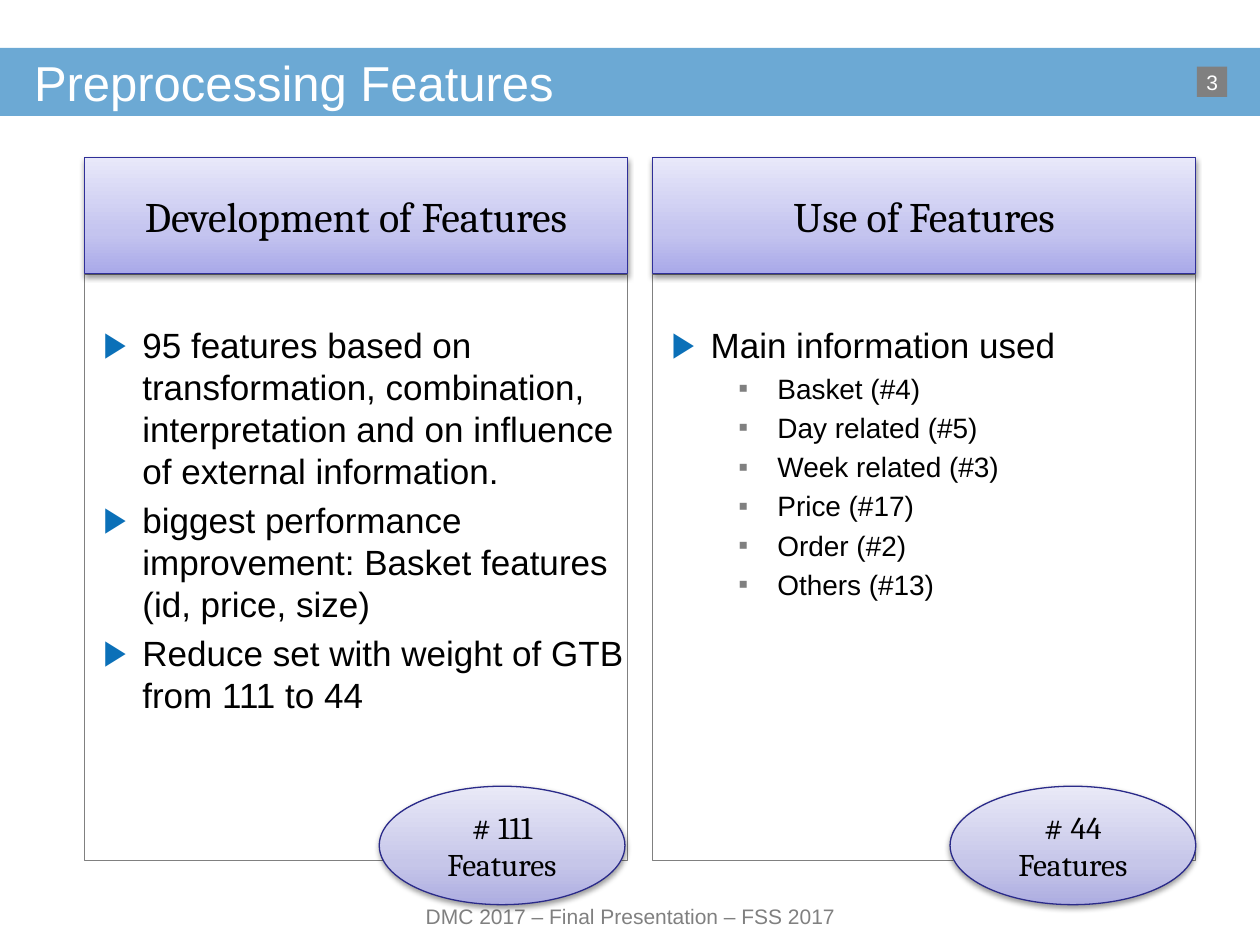
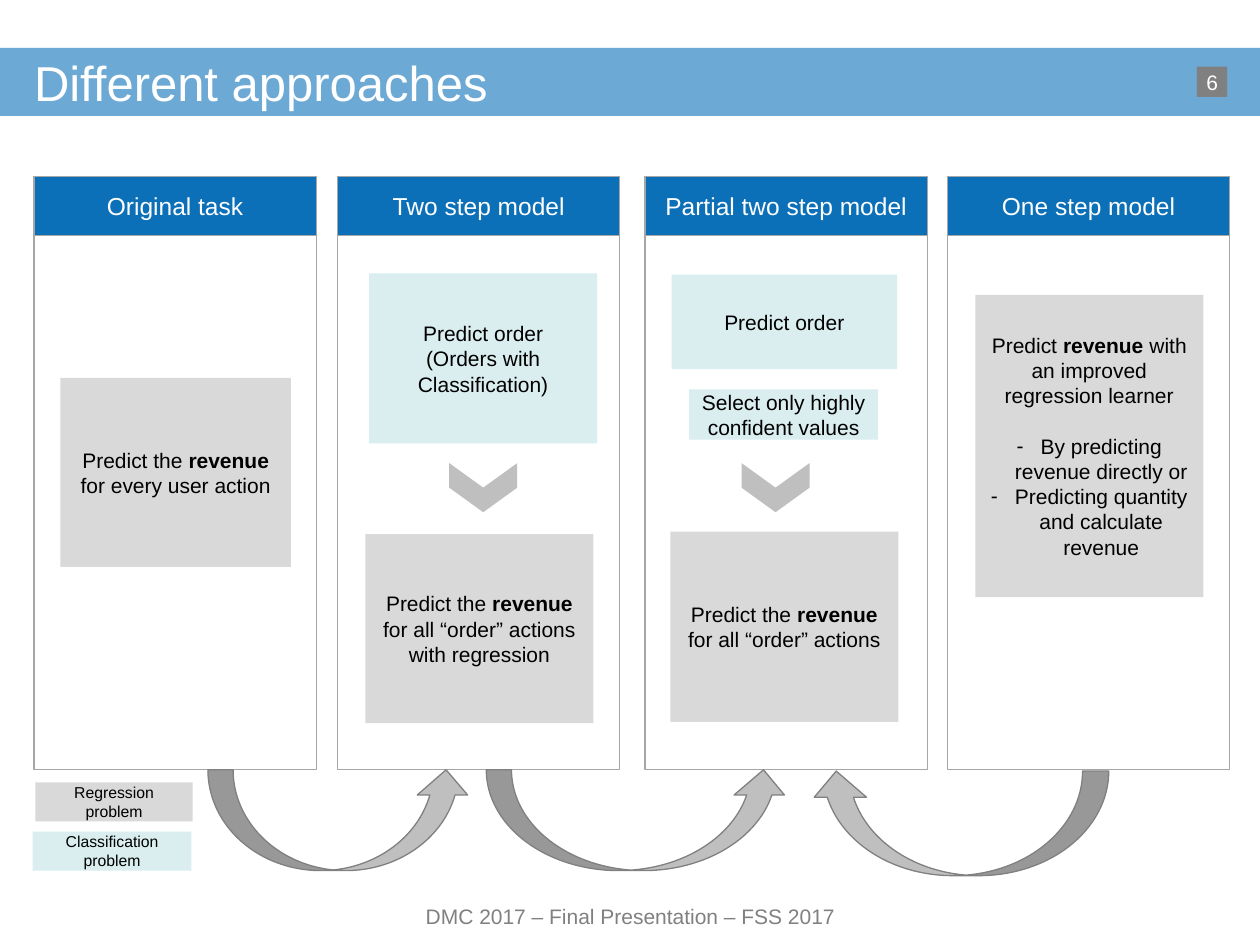
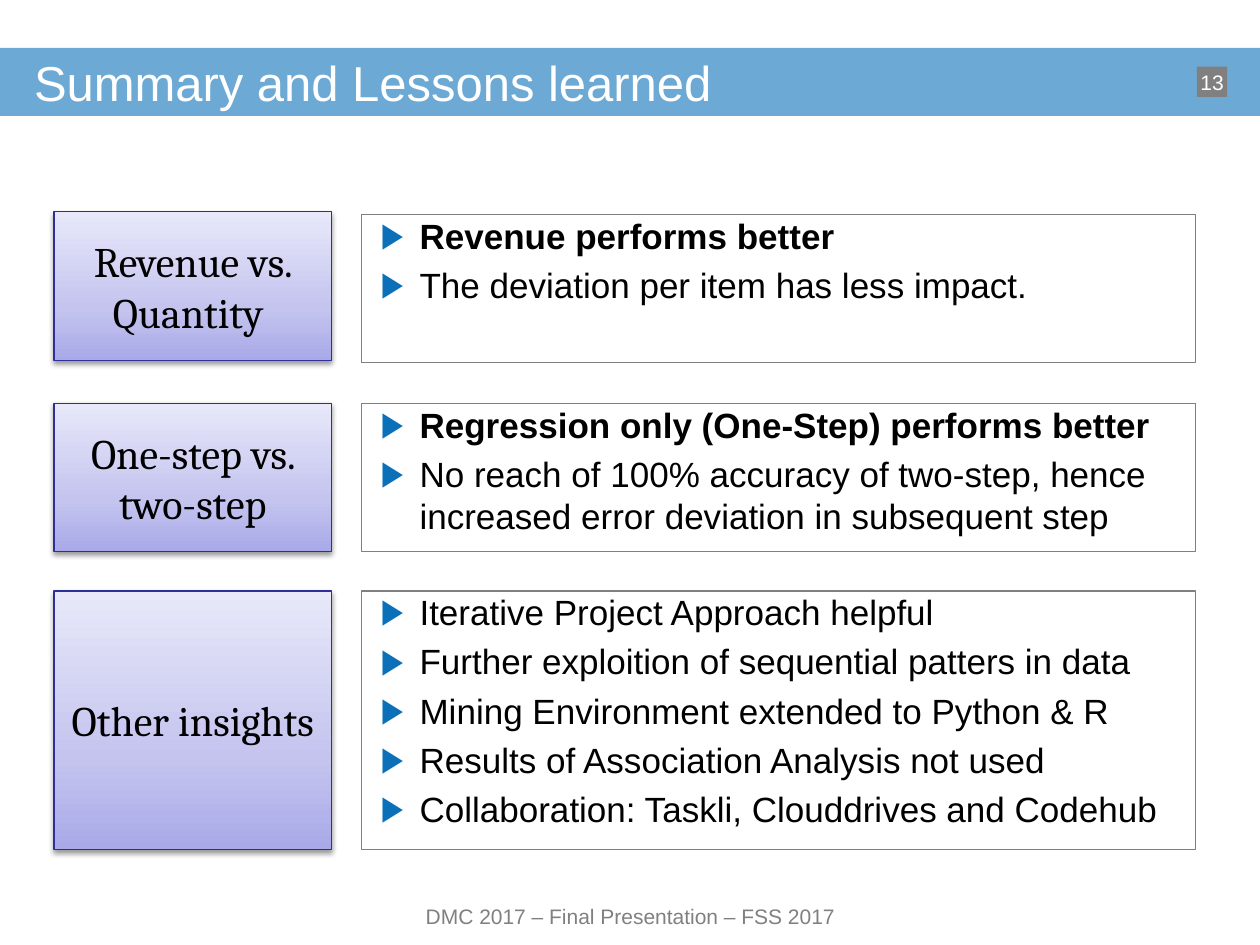
import lxml.etree
import pptx
import pptx.dml.color
import pptx.enum.shapes
import pptx.enum.text
import pptx.oxml
import pptx.oxml.ns
import pptx.util

Inches = pptx.util.Inches
Pt = pptx.util.Pt
qn = pptx.oxml.ns.qn
colour = pptx.dml.color.RGBColor.from_string
SHAPE = pptx.enum.shapes.MSO_SHAPE
ALIGN = pptx.enum.text.PP_ALIGN
ANCHOR = pptx.enum.text.MSO_ANCHOR

BLUE, GREY, WHITE, BLACK = "0B70B8", "808080", "FFFFFF", "000000"
FRAME, ARROW = "A6A6A6", "BFBFBF"
REGRESSION, CLASSIFICATION = "D9D9D9", "DAEDEF"
LILAC = [(0, "A9A9E9"), (35, "C4C4EF"), (100, "E8E8FA")]
PALE_LILAC = [(0, "ADADE1"), (35, "C6C6E9"), (100, "E9E9F7")]
LILAC_LINE, PALE_LILAC_LINE = "2F2F98", "2A2A89"

# mark: level, left indent, hanging indent, mark colour, text size, space before
BULLETS = {
    "▶": (0, 0.46, 0.31, BLUE, 20, 4),
    "▪": (1, 0.99, 0.31, GREY, 16, 3.2),
    "-": (0, 0.19, 0.19, BLACK, 12, 0),
}


def place(shape, position, fill=None, line=None):
    """Position and paint a shape; a list of gradient stops also brings a soft shadow."""
    shape.left, shape.top, shape.width, shape.height = map(Inches, position)
    shape.shadow.inherit = False
    shape.fill.background()
    properties = shape.element.spPr
    if isinstance(fill, list):
        stops = "".join(f'<a:gs pos="{at * 1000}"><a:srgbClr val="{value}"/></a:gs>' for at, value in fill)
        gradient = pptx.oxml.parse_xml(
            f'<a:gradFill {pptx.oxml.ns.nsdecls("a")} rotWithShape="1"><a:gsLst>{stops}</a:gsLst>'
            '<a:lin ang="16200000" scaled="0"/></a:gradFill>')
        properties.replace(properties.find(qn("a:noFill")), gradient)
        shadow = lxml.etree.SubElement(
            properties.find(qn("a:effectLst")), qn("a:outerShdw"),
            blurRad="40000", dist="20000", dir="5400000", rotWithShape="0")
        shadow_colour = lxml.etree.SubElement(shadow, qn("a:srgbClr"), val=BLACK)
        lxml.etree.SubElement(shadow_colour, qn("a:alpha"), val="38000")
    elif fill:
        shape.fill.solid()
        shape.fill.fore_color.rgb = colour(fill)
    if line:
        shape.line.color.rgb = colour(line)
        shape.line.width = Pt(0.75)
    else:
        shape.line.fill.background()
    return shape


def write(shape, texts, size=12, text_colour=BLACK, font="Arial",
          align=ALIGN.CENTER, anchor=ANCHOR.MIDDLE, margin=None):
    """Write one paragraph per text; **words** are bold, a leading mark makes a bullet."""
    frame = shape.text_frame
    frame.word_wrap = True
    frame.auto_size = pptx.enum.text.MSO_AUTO_SIZE.NONE
    frame.vertical_anchor = anchor
    if margin is not None:
        frame.margin_left = frame.margin_top = frame.margin_right = frame.margin_bottom = margin
    for index, text in enumerate(texts):
        paragraph = frame.add_paragraph() if index else frame.paragraphs[0]
        paragraph.alignment = align
        run_size = size
        mark, _, words = text.partition(" ")
        if mark in BULLETS:
            text = words
            level, left, hanging, mark_colour, run_size, space = BULLETS[mark]
            paragraph.level = level
            paragraph.space_before = Pt(space)
            properties = paragraph._p.get_or_add_pPr()
            properties.set("marL", str(Inches(left)))
            properties.set("indent", str(-Inches(hanging)))
            bullet_colour = lxml.etree.SubElement(properties, qn("a:buClr"))
            lxml.etree.SubElement(bullet_colour, qn("a:srgbClr"), val=mark_colour)
            lxml.etree.SubElement(properties, qn("a:buFont"), typeface="Arial")
            lxml.etree.SubElement(properties, qn("a:buChar"), char=mark)
        for part, words in enumerate(text.split("**")):
            if words:
                run = paragraph.add_run()
                run.text = words
                run.font.name = font
                run.font.size = Pt(run_size)
                run.font.bold = part % 2 == 1
                run.font.color.rgb = colour(text_colour)


presentation = pptx.Presentation()
presentation.slide_width = Inches(10)
presentation.slide_height = Inches(7.5)

# Shared title, footer and page number; layouts: two content, title only, comparison
slides = []
for layout, title, number in [(3, "Preprocessing Features", "3"),
                              (5, "Different approaches", "6"),
                              (4, "Summary and Lessons learned", "13")]:
    slide = presentation.slides.add_slide(presentation.slide_layouts[layout])
    slides.append(slide)
    write(place(slide.shapes.title, (0.27, 0.38, 9.45, 0.54)), [title], 28, WHITE,
          align=ALIGN.LEFT, margin=0)
    footer = place(slide.shapes.add_shape(SHAPE.RECTANGLE, 0, 0, 0, 0), (2.64, 7.13, 4.73, 0.28))
    write(footer, ["DMC 2017 – Final Presentation – FSS 2017"], 12, GREY, margin=0)
    page = place(slide.shapes.add_shape(SHAPE.RECTANGLE, 0, 0, 0, 0), (9.5, 0.53, 0.24, 0.24), GREY)
    write(page, [number], 12, WHITE, margin=0)
    page.text_frame.word_wrap = False
features, approaches, summary = slides

# The title band belongs to the master, behind everything else
band = place(features.shapes.add_shape(SHAPE.RECTANGLE, 0, 0, 0, 0), (0, 0.38, 10, 0.54), BLUE)
lxml.etree.SubElement(band.element.spPr.find(".//" + qn("a:srgbClr")), qn("a:alpha"), val="60000")
presentation.slide_master.shapes.element.insert(2, band.element)

# Preprocessing Features
feature_columns = [
    (1, 0.67, 3.01, "Development of Features", "# 111 Features", [
        "▶ 95 features based on transformation, combination, interpretation and on influence "
        "of external information.",
        "▶ biggest performance improvement: Basket features (id, price, size)",
        "▶ Reduce set with weight of GTB from 111 to 44"]),
    (2, 5.18, 7.54, "Use of Features", "# 44 Features", [
        "▶ Main information used", "▪ Basket (#4)", "▪ Day related (#5)", "▪ Week related (#3)",
        "▪ Price (#17)", "▪ Order (#2)", "▪ Others (#13)"]),
]
for index, left, count_left, heading, count, points in feature_columns:
    body = place(features.placeholders[index], (left, 2.18, 4.31, 4.65), line=GREY)
    write(body, points, align=ALIGN.LEFT, anchor=ANCHOR.TOP, margin=0)
    body.text_frame.margin_top = Inches(0.39)
    header = features.shapes.add_shape(SHAPE.RECTANGLE, 0, 0, 0, 0)
    write(place(header, (left, 1.25, 4.31, 0.92), LILAC, LILAC_LINE), [heading], 24, font="Cambria")
    oval = features.shapes.add_shape(SHAPE.OVAL, 0, 0, 0, 0)
    write(place(oval, (count_left, 6.24, 1.95, 0.94), PALE_LILAC, PALE_LILAC_LINE), [count], 18,
          font="Cambria")

# Different approaches
for left, heading in [(0.27, "Original task"), (2.68, "Two step model"),
                      (5.12, "Partial two step model"), (7.52, "One step model")]:
    header = approaches.shapes.add_shape(SHAPE.RECTANGLE, 0, 0, 0, 0)
    write(place(header, (left, 1.4, 2.24, 0.47), BLUE, FRAME), [heading], 14, WHITE)
    place(approaches.shapes.add_shape(SHAPE.RECTANGLE, 0, 0, 0, 0), (left, 1.87, 2.24, 4.24), line=FRAME)

for position in [(1.65, 6.11, 2.09, 0.8), (3.86, 6.11, 2.4, 0.8), (6.43, 6.12, 2.37, 0.83)]:
    arrow = place(approaches.shapes.add_shape(SHAPE.CURVED_UP_ARROW, 0, 0, 0, 0), position, ARROW, GREY)
arrow.element.spPr.xfrm.set("flipH", "1")  # the last arrow points back to the left

for left in (3.64, 5.96):
    chevron = place(approaches.shapes.add_shape(SHAPE.CHEVRON, 0, 0, 0, 0), (left, 3.6, 0.39, 0.54), ARROW)
    chevron.rotation = 90

steps = [
    ((0.48, 3, 1.83, 1.5), REGRESSION, 12, ["Predict the **revenue** for every user action"]),
    ((2.93, 2.17, 1.81, 1.35), CLASSIFICATION, 12, ["Predict order", "(Orders with Classification)"]),
    ((2.9, 4.24, 1.81, 1.5), REGRESSION, 12,
     ["Predict the **revenue** for all “order” actions", "with regression"]),
    ((5.33, 2.18, 1.79, 0.75), CLASSIFICATION, 12, ["Predict order"]),
    ((5.47, 3.09, 1.5, 0.4), CLASSIFICATION, 12, ["Select only highly confident values"]),
    ((5.32, 4.22, 1.81, 1.51), REGRESSION, 12, ["Predict the **revenue** for all “order” actions"]),
    ((0.28, 6.21, 1.25, 0.31), REGRESSION, 9, ["Regression problem"]),
    ((0.26, 6.6, 1.26, 0.31), CLASSIFICATION, 9, ["Classification problem"]),
    ((7.74, 2.34, 1.81, 2.4), REGRESSION, 12,
     ["Predict **revenue** with an improved regression learner",
      "- By predicting revenue directly or", "- Predicting quantity and calculate revenue"]),
]
for position, fill, size, texts in steps:
    step = place(approaches.shapes.add_shape(SHAPE.RECTANGLE, 0, 0, 0, 0), position, fill)
    write(step, texts, size)
step.text_frame.paragraphs[1].space_before = Pt(14.4)  # gap above the two options

# Summary and Lessons learned
lessons = [
    (1, 1.68, 1.7, 1.18, "Revenue vs. Quantity ", [
        "▶ **Revenue performs better**", "▶ The deviation per item has less impact."]),
    (2, 3.2, 3.2, 1.18, "One-step vs. two-step", [
        "▶ **Regression only (One-Step) performs better**",
        "▶ No reach of 100% accuracy of two-step, hence increased error deviation in subsequent step"]),
    (3, 4.69, 4.69, 2.05, "Other insights", [
        "▶ Iterative Project Approach helpful",
        "▶ Further exploition of sequential patters in data",
        "▶ Mining Environment extended to Python & R",
        "▶ Results of Association Analysis not used",
        "▶ Collaboration: Taskli, Clouddrives and Codehub"]),
]
for index, top, list_top, height, heading, points in lessons:
    body = place(summary.placeholders[index], (2.87, list_top, 6.62, height), line=GREY)
    write(body, points, align=ALIGN.LEFT, anchor=ANCHOR.TOP, margin=0)
    header = summary.shapes.add_shape(SHAPE.RECTANGLE, 0, 0, 0, 0)
    write(place(header, (0.43, top, 2.2, height), LILAC, LILAC_LINE), [heading], 24, font="Cambria")
unused = summary.placeholders[4].element
unused.getparent().remove(unused)

presentation.save("out.pptx")
